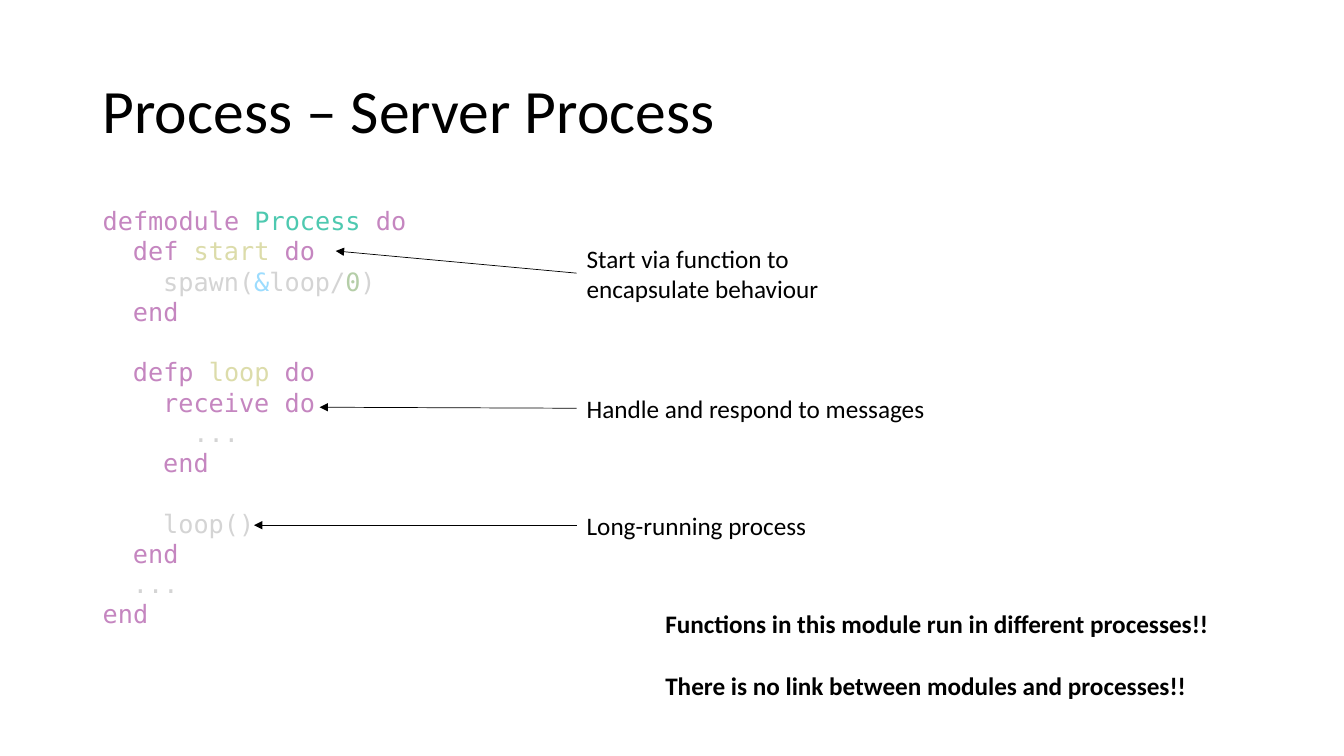
import pptx
import pptx.util
import pptx.dml.color
import pptx.enum.shapes
import pptx.enum.text
import pptx.oxml.ns
from lxml import etree
from pptx.util import Inches, Pt

RGBColor = pptx.dml.color.RGBColor
BLACK = RGBColor(0x00, 0x00, 0x00)
KEYWORD = RGBColor(0xC5, 0x86, 0xC0)
MODULE = RGBColor(0x4E, 0xC9, 0xB0)
FUNCTION = RGBColor(0xDC, 0xDC, 0xAA)
PLAIN = RGBColor(0xD4, 0xD4, 0xD4)
OPERATOR = RGBColor(0x9C, 0xDC, 0xFE)
NUMBER = RGBColor(0xB5, 0xCE, 0xA8)

TEXT_FONT = "Calibri"
CODE_FONT = "DejaVu Sans Mono"
CODE_LINE = Pt(21.6)
CODE_INDENT = 0.3
NOTE_LEFT = 5.72

# Indent level, blank line before, coloured pieces
CODE = [
    (0, False, [("defmodule ", KEYWORD), ("Process ", MODULE), ("do", KEYWORD)]),
    (1, False, [("def ", KEYWORD), ("start ", FUNCTION), ("do", KEYWORD)]),
    (2, False, [("spawn(", PLAIN), ("&", OPERATOR), ("loop/", PLAIN),
                ("0", NUMBER), (")", PLAIN)]),
    (1, False, [("end", KEYWORD)]),
    (1, True, [("defp ", KEYWORD), ("loop ", FUNCTION), ("do", KEYWORD)]),
    (2, False, [("receive do", KEYWORD)]),
    (3, False, [("...", PLAIN)]),
    (2, False, [("end", KEYWORD)]),
    (2, True, [("loop()", PLAIN)]),
    (1, False, [("end", KEYWORD)]),
    (1, False, [("...", PLAIN)]),
    (0, False, [("end", KEYWORD)]),
]

# Text, top, width, height, arrow start y, arrow tip
NOTES = [
    ("Start via function to encapsulate behaviour", 2.36, 3.28, 0.71, 2.71, (3.33, 2.49)),
    ("Handle and respond to messages", 3.85, 3.94, 0.4, 4.05, (3.17, 4.04)),
    ("Long-running process", 5.01, 3.02, 0.4, 5.21, (2.52, 5.21)),
]

WARNINGS = [
    "Functions in this module run in different processes!!",
    "There is no link between modules and processes!!",
]


def add_box(slide, left, top, width, height):
    box = slide.shapes.add_textbox(Inches(left), Inches(top), Inches(width), Inches(height))
    box.text_frame.word_wrap = True
    return box.text_frame


def add_span(para, text, color=BLACK, font=TEXT_FONT, size=18, bold=False):
    span = para.add_run()
    span.text = text
    span.font.name = font
    span.font.size = Pt(size)
    span.font.bold = bold
    span.font.color.rgb = color


def paragraphs(frame, count):
    """Return count paragraphs, the first being the one the frame already has."""
    return [frame.paragraphs[0]] + [frame.add_paragraph() for _ in range(count - 1)]


def add_title(slide, text):
    frame = add_box(slide, 0.92, 0.4, 11.5, 1.45)
    frame.vertical_anchor = pptx.enum.text.MSO_ANCHOR.MIDDLE
    para = frame.paragraphs[0]
    para.line_spacing = 0.9
    add_span(para, text, size=44)


def add_code(slide):
    frame = add_box(slide, 0.92, 1.99, 5.75, 4.64)
    for para, (level, gap, pieces) in zip(paragraphs(frame, len(CODE)), CODE):
        para.line_spacing = CODE_LINE
        para.space_before = CODE_LINE if gap else Pt(0)
        properties = para._p.get_or_add_pPr()
        properties.set("marL", str(Inches(level * CODE_INDENT)))
        properties.set("indent", "0")
        for text, color in pieces:
            add_span(para, text, color, CODE_FONT)


def add_arrow(slide, start, tip):
    arrow = slide.shapes.add_connector(
        pptx.enum.shapes.MSO_CONNECTOR.STRAIGHT,
        *(Inches(value) for value in start + tip))
    arrow.line.color.rgb = BLACK
    arrow.line.width = Pt(0.5)
    qn = pptx.oxml.ns.qn
    etree.SubElement(arrow.line._get_or_add_ln(), qn("a:tailEnd"), type="triangle")
    etree.SubElement(arrow._element.spPr, qn("a:effectLst"))


def add_note(slide, text, top, width, height, start_y, tip):
    frame = add_box(slide, NOTE_LEFT, top, width, height)
    add_span(frame.paragraphs[0], text)
    add_arrow(slide, (NOTE_LEFT, start_y), tip)


def add_warnings(slide):
    frame = add_box(slide, 6.5, 5.99, 6.48, 1.01)
    paras = paragraphs(frame, len(WARNINGS))
    for para, text in zip(paras, WARNINGS):
        add_span(para, text, bold=True)
    for para in paras[1:]:
        para.space_before = Pt(22)


def main():
    deck = pptx.Presentation()
    deck.slide_width = Inches(13.33)
    deck.slide_height = Inches(7.5)
    slide = deck.slides.add_slide(deck.slide_layouts[6])
    add_title(slide, "Process – Server Process")
    add_code(slide)
    for note in NOTES:
        add_note(slide, *note)
    add_warnings(slide)
    deck.save("out.pptx")


if __name__ == "__main__":
    main()
